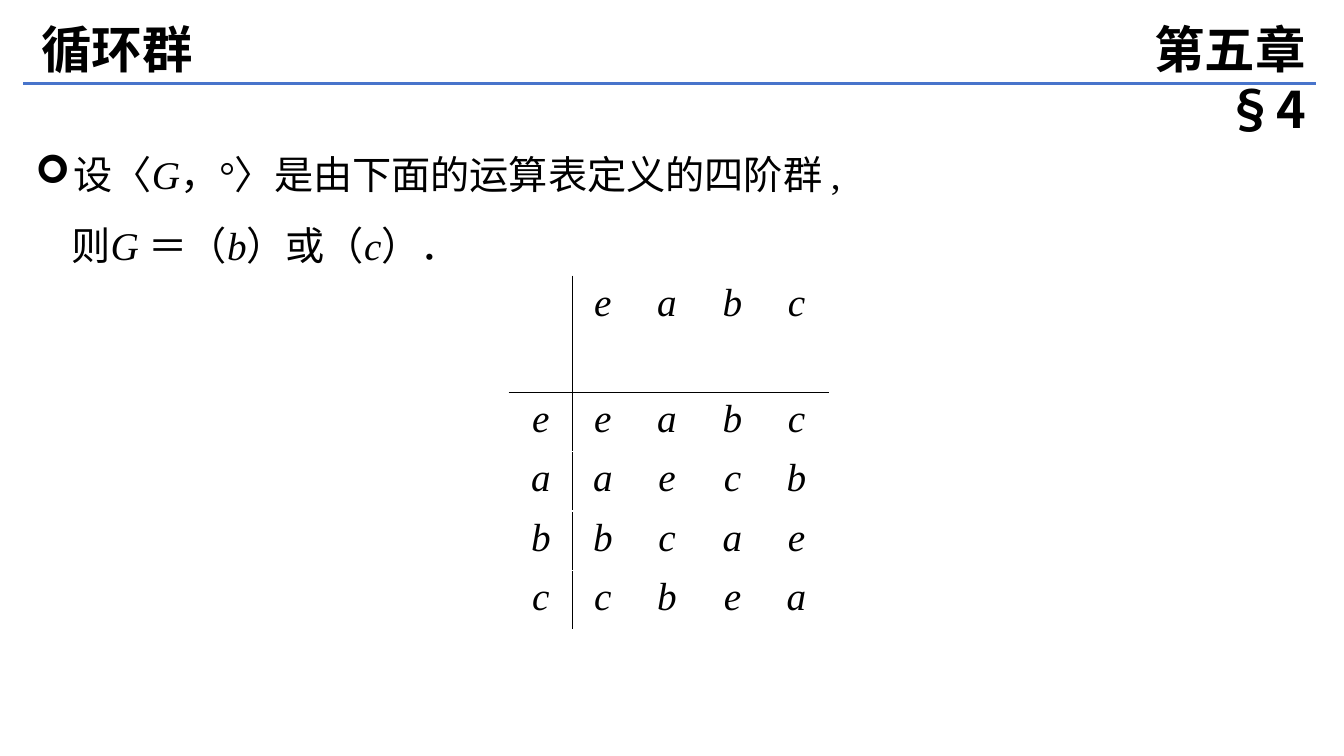
import pptx
import pptx.dml.color
import pptx.enum.shapes
import pptx.enum.text
import pptx.oxml.ns
import pptx.util
from lxml import etree

PX = 9144  # EMU, 100 px to the inch
SANS = "Noto Sans CJK SC"
SERIF = "Times New Roman"
BLACK = "000000"
ALIGN = pptx.enum.text.PP_ALIGN

STATEMENT = [
    [("设", "Calibri", False), ("〈", SERIF, False), ("G", SERIF, True),
     ("，°〉是由下面的运算表定义的四阶群 ,", SERIF, False)],
    [("则", SERIF, False), ("G ", SERIF, True), ("＝（", SERIF, False),
     ("b", SERIF, True), ("）或（", SERIF, False), ("c", SERIF, True),
     ("）．", SERIF, False)],
]
HEADINGS = "eabc"
PRODUCTS = ["eabc", "aecb", "bcae", "cbea"]
COLUMN_WIDTHS = [63, 60, 67, 63, 64]
ROW_HEIGHTS = [115, 59, 59, 59, 59]


def px(*lengths):
    return [pptx.util.Emu(length * PX) for length in lengths]


def color(value):
    return pptx.dml.color.RGBColor.from_string(value)


def add_xml(parent, tag, **attributes):
    return etree.SubElement(parent, pptx.oxml.ns.qn(tag), attributes)


def set_font(font, name, size, bold=False, italic=False):
    font.name = name
    font.size = pptx.util.Pt(size)
    font.bold = bold
    font.italic = italic
    font.color.rgb = color(BLACK)
    add_xml(font._element, "a:ea", typeface=SANS)


def place(shape, left, top, width, height):
    shape.left, shape.top, shape.width, shape.height = px(left, top, width, height)
    frame = shape.text_frame
    frame.word_wrap = True
    frame.auto_size = pptx.enum.text.MSO_AUTO_SIZE.NONE
    frame.vertical_anchor = pptx.enum.text.MSO_ANCHOR.TOP
    return frame


def write_heading(shape, text, box, align):
    frame = place(shape, *box)
    frame.text = text
    heading = frame.paragraphs[0]
    heading.alignment = align
    set_font(heading.font, SANS, 36, bold=True)


def add_rule(slide, left, right, y):
    rule = slide.shapes.add_connector(
        pptx.enum.shapes.MSO_CONNECTOR.STRAIGHT, *px(left, y, right, y))
    rule.line.color.rgb = color("4874CB")
    rule.line.width = pptx.util.Pt(2.25)
    add_xml(rule._element.spPr, "a:effectLst")


def set_indent(paragraph, margin, bullet=None):
    properties = paragraph._p.get_or_add_pPr()
    properties.set("marL", str(margin * PX))
    properties.set("indent", str(-margin * PX if bullet else 0))
    if bullet:
        add_xml(properties, "a:buFont", typeface="Wingdings")
        add_xml(properties, "a:buChar", char=bullet)
    else:
        add_xml(properties, "a:buNone")


def write_statement(shape):
    frame = place(shape, 25, 121, 1279, 585)
    for index, pieces in enumerate(STATEMENT):
        line = frame.add_paragraph() if index else frame.paragraphs[0]
        set_indent(line, *((36,) if index else (38, "➢")))
        line.line_spacing = 1.5
        line.space_before = pptx.util.Pt(0)
        for text, name, italic in pieces:
            run = line.add_run()
            run.text = text
            set_font(run.font, name, 28, italic=italic)


def add_border(cell, tag):
    border = add_xml(cell._tc.get_or_add_tcPr(), tag, w="12700")
    add_xml(add_xml(border, "a:solidFill"), "a:srgbClr", val=BLACK)


def add_operation_table(slide):
    rows = [" " + HEADINGS] + [
        element + products for element, products in zip(HEADINGS, PRODUCTS)]
    box = px(505, 274, sum(COLUMN_WIDTHS), sum(ROW_HEIGHTS))
    table = slide.shapes.add_table(len(rows), len(COLUMN_WIDTHS), *box).table
    table.first_row = table.horz_banding = False
    for column, width in zip(table.columns, px(*COLUMN_WIDTHS)):
        column.width = width
    for row, height in zip(table.rows, px(*ROW_HEIGHTS)):
        row.height = height
    for r, elements in enumerate(rows):
        for c, element in enumerate(elements):
            cell = table.cell(r, c)
            # Borders follow the schema order: left, right, top, bottom
            for tag, wanted in (("a:lnL", c == 1), ("a:lnR", c == 0),
                                ("a:lnT", r == 1), ("a:lnB", r == 0)):
                if wanted:
                    add_border(cell, tag)
            cell.fill.background()
            cell.text = element.strip()
            entry = cell.text_frame.paragraphs[0]
            entry.alignment = ALIGN.CENTER
            set_font(entry.font, SERIF, 28, italic=True)


def main():
    deck = pptx.Presentation()
    deck.slide_width, deck.slide_height = px(1333, 750)
    slide = deck.slides.add_slide(deck.slide_layouts[1])
    add_rule(slide, 23, 1305, 83)
    write_heading(slide.shapes.title, "循环群", (31, 13, 410, 71), ALIGN.LEFT)
    write_statement(slide.placeholders[1])
    chapter = slide.shapes.add_textbox(0, 0, 0, 0)
    write_heading(chapter, "第五章 §4", (1051, 13, 254, 71), ALIGN.RIGHT)
    add_operation_table(slide)
    deck.save("out.pptx")


if __name__ == "__main__":
    main()
